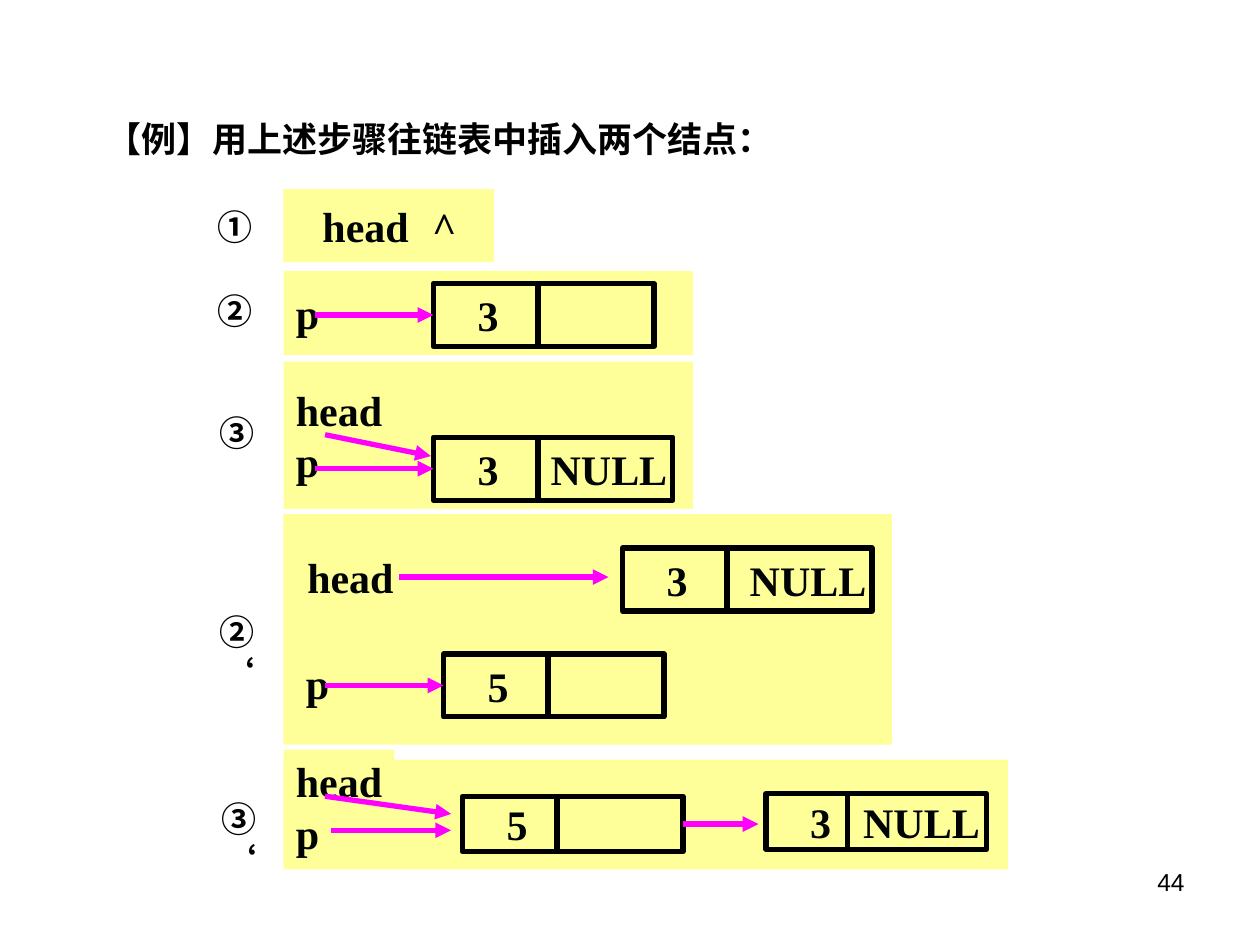
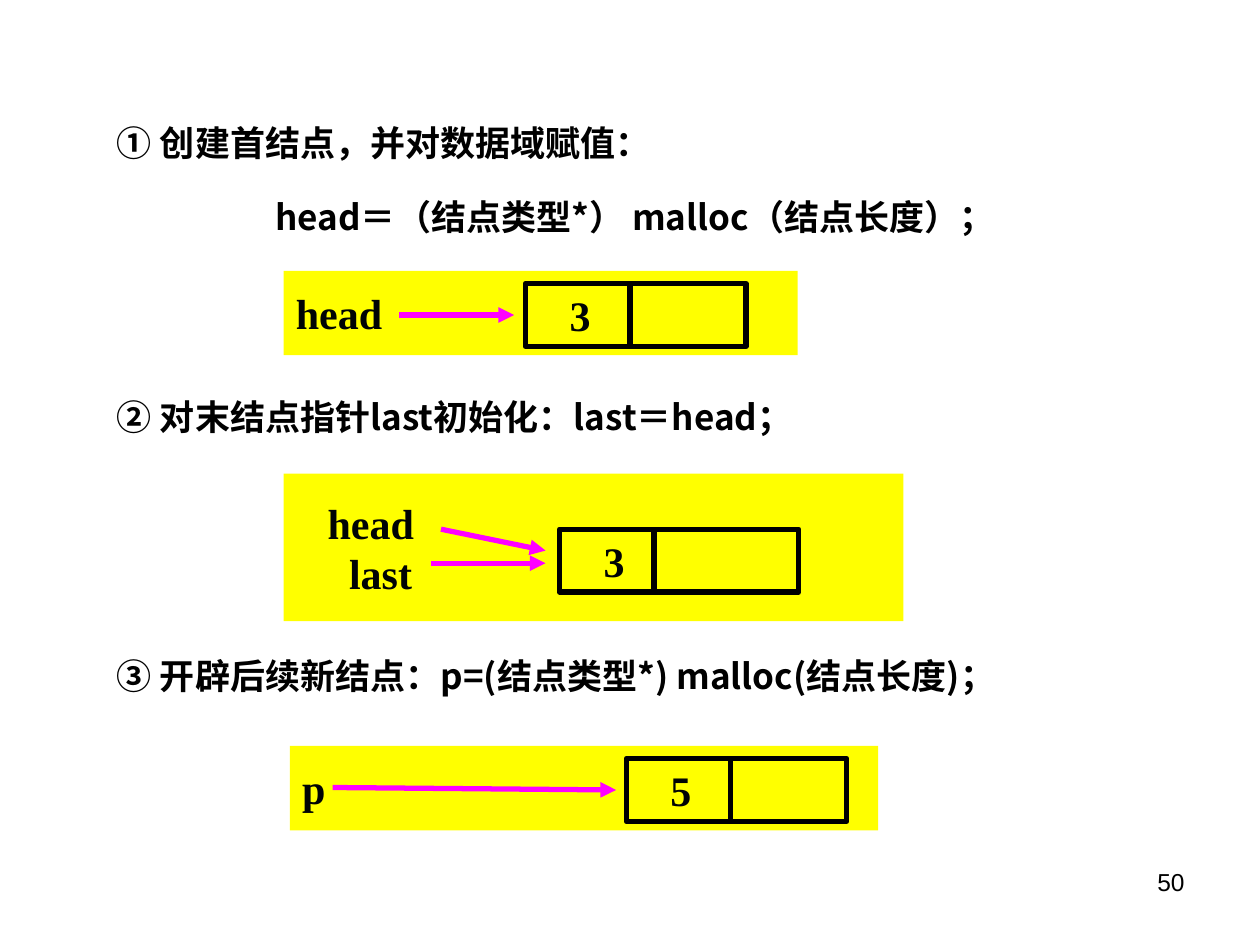
from dataclasses import dataclass
from typing import Union

from lxml import etree
from pptx import Presentation
from pptx import util as u
from pptx.dml.color import RGBColor
from pptx.enum import shapes, text
from pptx.oxml.ns import qn

COLOURS = {
    "ink": "000000",
    "label": "000404",
    "arrow": "FF00FF",
    "pale": "FFFF99",
    "bright": "FFFF00",
}
LATIN, CHINESE, PLAIN = "Times New Roman", "Noto Sans CJK SC", "Arial"
WIDTH, HEIGHT = u.Inches(10), u.Inches(7.5)
COLUMNS, ROWS = 100, 75
LEFT_SIDE, RIGHT_SIDE = 1, 3
PAD, HALF_PAD = 1, 0.5


@dataclass(frozen=True)
class Panel:
    """A coloured band with pointer names; tab and indent are in columns."""
    x: float
    y: float
    w: float
    h: float
    names: str = ""
    inset: float = PAD
    tab: float = 0
    last_indent: float = 0


@dataclass(frozen=True)
class Node:
    """A list node: a data cell, a divider and a pointer cell."""
    x: float
    y: float
    datum: str
    w: float = 17.5
    h: float = 5
    split: float = 8.3
    tab: float = 0


Point = tuple[float, float]


@dataclass(frozen=True)
class Arrow:
    start: Union[Point, Node]
    end: Union[Point, Node]


@dataclass(frozen=True)
class Caption:
    x: float
    y: float
    w: float
    h: float
    words: str
    spacing: float = 1.0
    before: float = 0
    centre_last: bool = False


@dataclass(frozen=True)
class Page:
    number: str
    fill: str
    captions: list[Caption]
    panels: list[Panel]
    nodes: list[Node]
    arrows: list[Arrow]


def col(n: float) -> int:
    return round(WIDTH * n / COLUMNS)


def row(n: float) -> int:
    return round(HEIGHT * n / ROWS)


def rgb(name: str) -> RGBColor:
    return RGBColor.from_string(COLOURS[name])


def write(frame, words: str, font: str, size: float, colour: str,
          bold: bool = True, inset: float = PAD, right: float = PAD) -> None:
    frame.word_wrap = True
    frame.margin_left, frame.margin_right = col(inset), col(right)
    frame.margin_top = frame.margin_bottom = row(HALF_PAD)
    frame.text = words
    for paragraph in frame.paragraphs:
        paragraph.alignment = text.PP_ALIGN.LEFT
        for run in paragraph.runs:
            run.font.name, run.font.size = font, u.Pt(size)
            run.font.bold, run.font.color.rgb = bold, rgb(colour)
            east_asian = etree.SubElement(run.font._element, qn("a:ea"))
            east_asian.set("typeface", font)


def set_tab(paragraph, position: float) -> None:
    stops = etree.SubElement(paragraph._p.get_or_add_pPr(), qn("a:tabLst"))
    etree.SubElement(stops, qn("a:tab"), pos=str(col(position)), algn="l")


def add_box(slide, item: Union[Panel, Node], fill: str, words: str,
            inset: float, right: float):
    box = slide.shapes.add_shape(shapes.MSO_SHAPE.RECTANGLE, col(item.x),
                                 row(item.y), col(item.w), row(item.h))
    box.shadow.inherit = False
    box.fill.solid()
    box.fill.fore_color.rgb = rgb(fill)
    box.line.fill.background()
    box.text_frame.vertical_anchor = text.MSO_ANCHOR.MIDDLE
    if words:
        write(box.text_frame, words, LATIN, 24, "label", inset=inset, right=right)
    if item.tab:
        set_tab(box.text_frame.paragraphs[0], item.tab)
    return box


def add_line(slide, start: Point, end: Point, colour: str):
    line = slide.shapes.add_connector(
        shapes.MSO_CONNECTOR.STRAIGHT,
        col(start[0]), row(start[1]), col(end[0]), row(end[1]))
    line.line.color.rgb, line.line.width = rgb(colour), u.Pt(3)
    etree.SubElement(line._element.spPr, qn("a:effectLst"))
    return line


def add_panel(slide, panel: Panel, fill: str) -> None:
    box = add_box(slide, panel, fill, panel.names, panel.inset, 0)
    if panel.last_indent:
        properties = box.text_frame.paragraphs[-1]._p.get_or_add_pPr()
        properties.set("marL", str(col(panel.last_indent)))


def add_node(slide, node: Node, fill: str):
    box = add_box(slide, node, fill, node.datum, 3.5, 0)
    box.line.color.rgb, box.line.width = rgb("ink"), u.Pt(3)
    divider = node.x + node.split
    add_line(slide, (divider, node.y), (divider, node.y + node.h), "ink")
    return box


def add_arrow(slide, arrow: Arrow, boxes: dict) -> None:
    """Draw an arrow, joined to a node wherever an end is a node."""
    start, end = ((0, 0) if isinstance(tip, Node) else tip
                  for tip in (arrow.start, arrow.end))
    line = add_line(slide, start, end, "arrow")
    if isinstance(arrow.start, Node):
        line.begin_connect(boxes[arrow.start], RIGHT_SIDE)
    if isinstance(arrow.end, Node):
        line.end_connect(boxes[arrow.end], LEFT_SIDE)
    etree.SubElement(line.line._get_or_add_ln(), qn("a:tailEnd"), type="triangle")


def add_caption(slide, caption: Caption) -> None:
    box = slide.shapes.add_textbox(col(caption.x), row(caption.y),
                                   col(caption.w), row(caption.h))
    write(box.text_frame, caption.words, CHINESE, 20, "ink")
    paragraphs = box.text_frame.paragraphs
    for paragraph in paragraphs:
        paragraph.line_spacing = caption.spacing
    for paragraph in paragraphs[1:]:
        paragraph.space_before = u.Pt(caption.before)
    if caption.centre_last:
        paragraphs[-1].alignment = text.PP_ALIGN.CENTER


def add_page_number(slide, number: str) -> None:
    box = slide.shapes.add_textbox(col(71.7), row(68.3), col(23.3), row(5.2))
    write(box.text_frame, number, PLAIN, 14, "ink", bold=False)
    box.text_frame.paragraphs[0].alignment = text.PP_ALIGN.RIGHT


def add_page(deck, page: Page) -> None:
    slide = deck.slides.add_slide(deck.slide_layouts[6])
    add_page_number(slide, page.number)
    for caption in page.captions:
        add_caption(slide, caption)
    for panel in page.panels:
        add_panel(slide, panel, page.fill)
    boxes = {node: add_node(slide, node, page.fill) for node in page.nodes}
    for arrow in page.arrows:
        add_arrow(slide, arrow, boxes)


def step(x: float, y: float, mark: str) -> Caption:
    return Caption(x, y, 4.6, 4.4, mark)


def instruction(y: float, h: float, words: str, centre_last: bool = False) -> Caption:
    return Caption(8.3, y, 84.2, h, words, 1.5, 6.2, centre_last)


def insertion_page() -> Page:
    created = Node(34.4, 22.5, "3")
    linked = Node(34.4, 34.7, "3\tNULL", w=19, tab=5.8)
    old_first = Node(49.4, 43.5, "3\tNULL", w=19.8, tab=6.6)
    second = Node(35.2, 51.9, "5")
    new_first = Node(36.7, 63.2, "5", h=4.4, split=7.5)
    old_tail = Node(60.8, 63, "3\tNULL", h=4.4, split=6.45, tab=4.2)
    return Page(
        "44", "pale",
        captions=[
            Caption(7.5, 8.8, 84.2, 4.4, "【例】用上述步骤往链表中插入两个结点："),
            step(16.3, 15.8, "①"),
            step(16.3, 22.5, "②"),
            step(16.4, 32.2, "③"),
            step(16.4, 48, "②‘"),
            step(16.6, 62.8, "③‘"),
        ],
        panels=[
            Panel(22.5, 15, 16.7, 5.8, "head\t^", inset=3.1, tab=8.7),
            Panel(22.5, 21.5, 32.5, 6.7, "p"),
            Panel(22.5, 28.7, 32.5, 11.7, "head\np"),
            Panel(22.5, 40.8, 48.3, 18.3),
            Panel(23.4, 43.3, 8.8, 5, "head"),
            Panel(23.3, 50.8, 32.5, 6.7, "p"),
            Panel(22.5, 60.3, 57.5, 8.7),
            Panel(22.5, 59.5, 8.8, 5, "head"),
            Panel(22.5, 63.6, 3.8, 5, "p"),
        ],
        nodes=[created, linked, old_first, second, new_first, old_tail],
        arrows=[
            Arrow((25, 25), created),
            Arrow((25, 37.2), linked),
            Arrow((25.8, 34.5), (34.2, 36.2)),
            Arrow((31.7, 45.8), (48.3, 45.8)),
            Arrow((25.8, 54.4), second),
            Arrow((25.8, 63.2), (35.8, 64.6)),
            Arrow((26.3, 65.9), (35.8, 65.9)),
            Arrow(new_first, (60.2, 65.4)),
        ],
    )


def creation_page() -> Page:
    return Page(
        "50", "bright",
        captions=[
            instruction(7.5, 11.9, "① 创建首结点，并对数据域赋值：\n"
                        "head＝（结点类型*） malloc（结点长度）；", centre_last=True),
            instruction(29.2, 6, "② 对末结点指针last初始化：last＝head；"),
            instruction(49.8, 6, "③ 开辟后续新结点：p=(结点类型*) malloc(结点长度)；"),
        ],
        panels=[
            Panel(22.5, 21.5, 40.8, 6.7, "head"),
            Panel(22.5, 37.6, 49.2, 11.7, "head\nlast", inset=3.5, last_indent=1.7),
            Panel(23, 59.2, 46.7, 6.7, "p"),
        ],
        nodes=[
            Node(41.7, 22.5, "3"),
            Node(44.4, 42, "3", w=19, split=7.5),
            Node(49.7, 60.2, "5"),
        ],
        arrows=[
            Arrow((31.7, 25), (40.8, 25)),
            Arrow((34.2, 44.7), (43.3, 44.7)),
            Arrow((35, 42), (43.3, 43.7)),
            Arrow((26.4, 62.5), (48.9, 62.7)),
        ],
    )


def main() -> None:
    deck = Presentation()
    deck.slide_width, deck.slide_height = WIDTH, HEIGHT
    for page in (insertion_page(), creation_page()):
        add_page(deck, page)
    deck.save("out.pptx")


if __name__ == "__main__":
    main()
